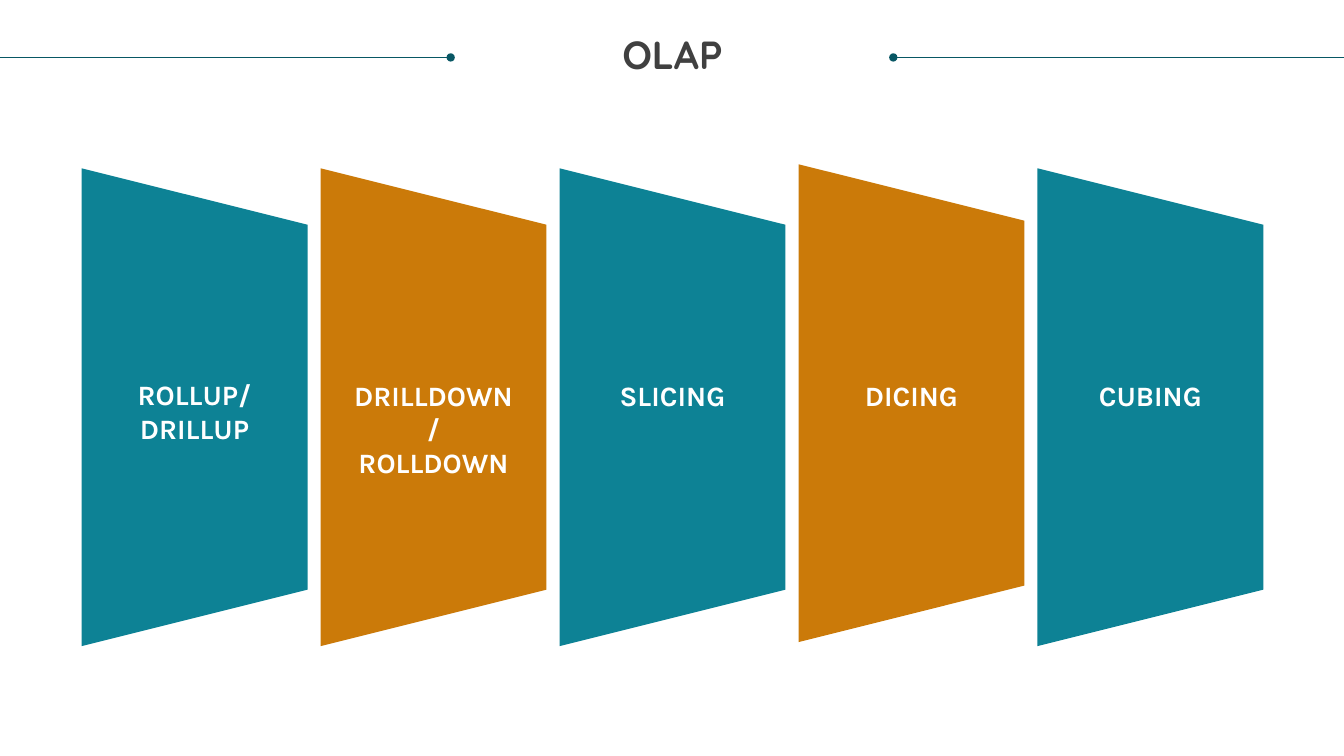
import lxml.etree
import pptx
import pptx.util
import pptx.dml.color
import pptx.enum.shapes
import pptx.enum.text
import pptx.oxml.ns
from pptx.util import Inches


def color(code):
    return pptx.dml.color.RGBColor.from_string(code)


class Deck:
    """Holds the style and the current slide, and draws each kind of element."""

    TEAL, GOLD, DARK, GRAY, WHITE = "0D8295", "CB7A09", "085764", "404040", "FFFFFF"

    def __init__(self):
        self.file = pptx.Presentation()
        self.file.slide_width = Inches(13.33)
        self.file.slide_height = Inches(7.5)
        self.slide = self.file.slides.add_slide(self.file.slide_layouts[6])
        self.slide.background.fill.solid()
        self.slide.background.fill.fore_color.rgb = color(self.WHITE)

    def rule(self, left, right, y, end):
        line = self.slide.shapes.add_connector(
            pptx.enum.shapes.MSO_CONNECTOR.STRAIGHT,
            Inches(left), Inches(y), Inches(right), Inches(y))
        line.line.color.rgb = color(self.DARK)
        line.line.width = pptx.util.Pt(0.5)
        props = line.element.spPr
        stroke = props.find(pptx.oxml.ns.qn("a:ln"))
        lxml.etree.SubElement(stroke, pptx.oxml.ns.qn(f"a:{end}"), type="oval")
        lxml.etree.SubElement(props, pptx.oxml.ns.qn("a:effectLst"))

    def panel(self, mid, y, length, depth, fill):
        shape = self.slide.shapes.add_shape(
            pptx.enum.shapes.MSO_SHAPE.TRAPEZOID,
            Inches(mid - length / 2), Inches(y - depth / 2),
            Inches(length), Inches(depth))
        shape.rotation = 90
        shape.shadow.inherit = False
        shape.fill.solid()
        shape.fill.fore_color.rgb = color(fill)
        shape.line.fill.background()

    def label(self, mid, top, width, lines, size, font, ink, space=None):
        height = size / 60 * len(lines)
        box = self.slide.shapes.add_textbox(
            Inches(mid - width / 2), Inches(top), Inches(width), Inches(height))
        frame = box.text_frame
        frame.margin_left = frame.margin_right = 0
        frame.margin_top = frame.margin_bottom = 0
        frame.word_wrap = True
        frame.auto_size = pptx.enum.text.MSO_AUTO_SIZE.SHAPE_TO_FIT_TEXT
        frame.text = "\n".join(lines)
        for para in frame.paragraphs:
            para.alignment = pptx.enum.text.PP_ALIGN.CENTER
            para.line_spacing = space
            for run in para.runs:
                run.font.name = font
                run.font.size = pptx.util.Pt(size)
                run.font.bold = True
                run.font.color.rgb = color(ink)


def main():
    deck = Deck()
    deck.rule(8.86, 13.33, 0.57, "headEnd")
    deck.label(6.67, 0.35, 12.83, ["OLAP"], 28, "Quicksand", deck.GRAY, 0.9)
    deck.rule(0, 4.47, 0.57, "tailEnd")

    steps = [
        (["ROLLUP/", "DRILLUP"], deck.TEAL, 4.04, 1.5),
        (["DRILLDOWN/", "ROLLDOWN"], deck.GOLD, 4.04, 1.63),
        (["SLICING"], deck.TEAL, 4.04, 1.5),
        (["DICING"], deck.GOLD, 4.0, 1.5),
        (["CUBING"], deck.TEAL, 4.04, 1.5),
    ]
    mids = [1.93 + 2.37 * i for i in range(len(steps))]
    for mid, (lines, fill, y, width) in zip(mids, steps):
        deck.panel(mid, y, 4.74, 2.24, fill)
    for mid, (lines, fill, y, width) in zip(mids, steps):
        deck.label(mid, 3.75, width, lines, 20, "Karla", deck.WHITE)
    deck.file.save("out.pptx")


if __name__ == "__main__":
    main()
